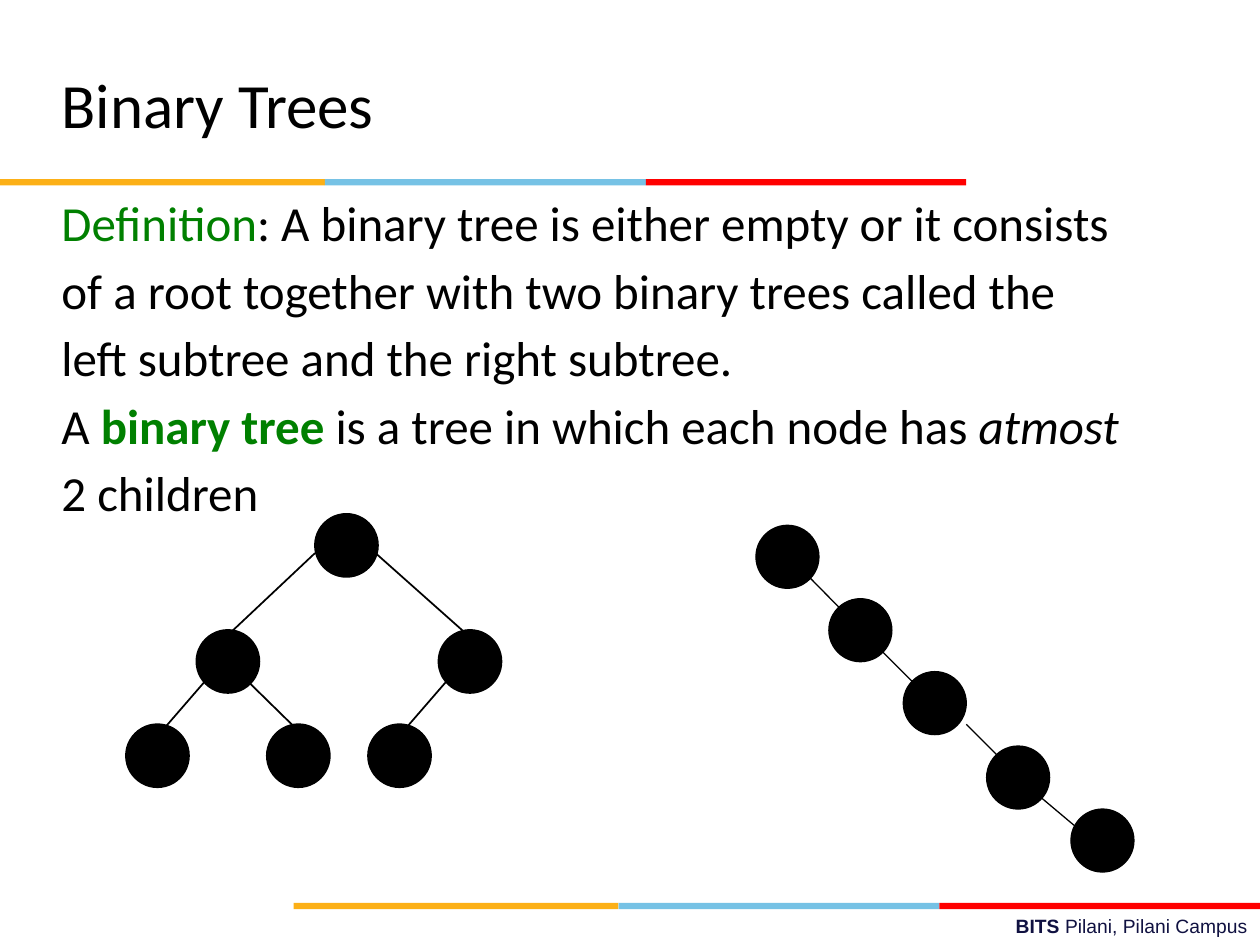
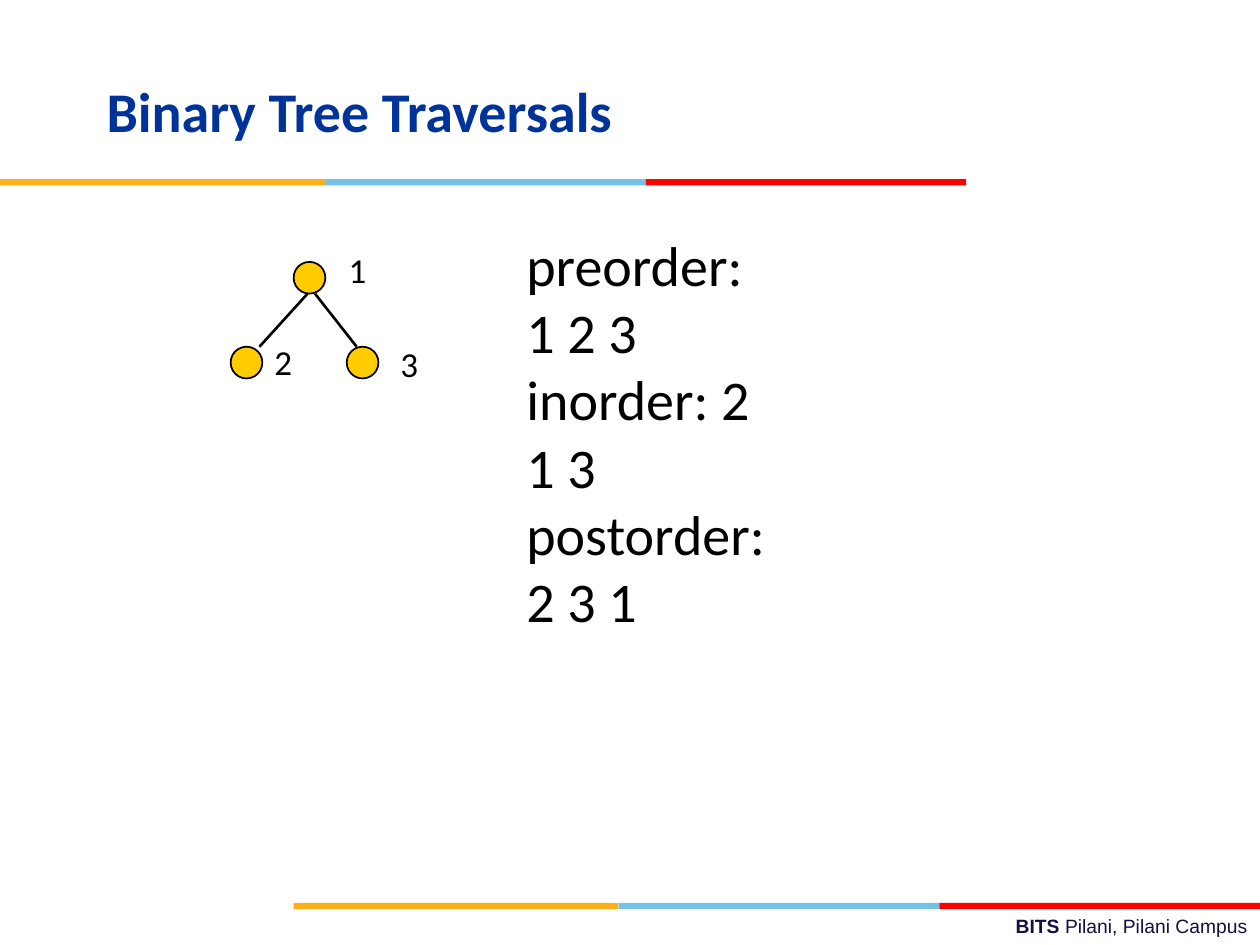
from dataclasses import dataclass
from itertools import accumulate

from lxml.etree import SubElement
from pptx import Presentation
from pptx.dml.color import RGBColor
from pptx.enum.shapes import MSO_CONNECTOR, MSO_SHAPE
from pptx.enum.text import MSO_ANCHOR, PP_ALIGN
from pptx.oxml.ns import qn
from pptx.slide import Slide
from pptx.util import Cm, Pt

COLORS = {
    "orange": "FCB017",
    "blue": "76C2E5",
    "red": "FF0000",
    "footer": "101141",
    "black": "000000",
    "green": "008000",
    "title blue": "003399",
    "yellow": "FFCC00",
}
BAND_SEGMENTS = [("orange", 6.55), ("blue", 6.47), ("red", 6.46)]
BAND_HEIGHT = 0.13
BAND_CORNERS = [(5.92, 18.2), (0, 3.61)]

Point = tuple[float, float]


@dataclass
class Span:
    text: str
    color: str = "black"
    bold: bool = False
    italic: bool = False


@dataclass
class TextBlock:
    """A text box; lengths in centimetres, sizes in points."""
    left: float
    top: float
    width: float
    height: float
    paragraphs: list[list[Span]]
    size: float
    font: str = "Calibri"
    align: PP_ALIGN = PP_ALIGN.LEFT
    anchor: MSO_ANCHOR = MSO_ANCHOR.TOP
    space_before: float = 0


@dataclass
class Tree:
    """Nodes by top left corner, edges by end points, in centimetres."""
    diameter: float
    fill: str
    outline: float
    edge_width: float
    nodes: list[Point]
    edges: list[tuple[Point, Point]]


def color(name: str) -> RGBColor:
    return RGBColor.from_string(COLORS[name])


def draw_text(page: Slide, block: TextBlock) -> None:
    box = page.shapes.add_textbox(
        Cm(block.left), Cm(block.top), Cm(block.width), Cm(block.height))
    frame = box.text_frame
    frame.word_wrap = True
    frame.vertical_anchor = block.anchor
    for index, spans in enumerate(block.paragraphs):
        para = frame.add_paragraph() if index else frame.paragraphs[0]
        para.alignment = block.align
        para.space_before = Pt(block.space_before if index else 0)
        for span in spans:
            run = para.add_run()
            run.text = span.text
            run.font.name = block.font
            run.font.size = Pt(block.size)
            run.font.bold = span.bold
            run.font.italic = span.italic
            run.font.color.rgb = color(span.color)


def draw_band(page: Slide, left: float, top: float) -> None:
    widths = [width for _, width in BAND_SEGMENTS]
    starts = accumulate(widths[:-1], initial=left)
    for (name, width), start in zip(BAND_SEGMENTS, starts):
        bar = page.shapes.add_shape(
            MSO_SHAPE.RECTANGLE, Cm(start), Cm(top), Cm(width), Cm(BAND_HEIGHT))
        bar.shadow.inherit = False
        bar.fill.solid()
        bar.fill.fore_color.rgb = color(name)
        bar.line.fill.background()


def draw_tree(page: Slide, tree: Tree) -> None:
    for start, end in tree.edges:
        edge = page.shapes.add_connector(
            MSO_CONNECTOR.STRAIGHT, *map(Cm, start), *map(Cm, end))
        edge.line.color.rgb = color("black")
        edge.line.width = Pt(tree.edge_width)
        SubElement(edge._element.spPr, qn("a:effectLst"))
    for left, top in tree.nodes:
        node = page.shapes.add_shape(
            MSO_SHAPE.OVAL, Cm(left), Cm(top), Cm(tree.diameter), Cm(tree.diameter))
        node.shadow.inherit = False
        node.fill.solid()
        node.fill.fore_color.rgb = color(tree.fill)
        node.line.color.rgb = color("black")
        node.line.width = Pt(tree.outline)


FOOTER = TextBlock(
    9.09, 18.31, 16.31, 0.74,
    [[Span("BITS ", "footer", bold=True), Span("Pilani, Pilani Campus", "footer")]],
    size=11, font="Arial", align=PP_ALIGN.RIGHT)

# Definition slide
DEFINITION_TITLE = TextBlock(
    0.99, 0.79, 21.59, 2.59, [[Span("Binary Trees")]],
    size=36, anchor=MSO_ANCHOR.MIDDLE)
DEFINITION = TextBlock(
    0.99, 3.76, 22.02, 13.69,
    [
        [Span("Definition", "green"),
         Span(": A binary tree is either empty or it consists")],
        [Span("of a root together with two binary trees called the")],
        [Span("left subtree and the right subtree.")],
        [Span("A "), Span("binary tree", "green", bold=True),
         Span(" is a tree in which each node has "), Span("atmost", italic=True)],
        [Span("2 children")],
    ],
    size=28, space_before=5)
BRANCHING_TREE = Tree(
    1.27, "black", outline=1, edge_width=1,
    nodes=[(6.35, 10.36), (3.96, 12.7), (8.84, 12.7),
           (2.54, 14.6), (5.38, 14.6), (7.42, 14.6)],
    edges=[((6.35, 11.15), (4.65, 12.75)), ((7.57, 11.15), (9.37, 12.75)),
           ((4.17, 13.69), (3.33, 14.66)), ((4.95, 13.69), (5.94, 14.66)),
           ((9.04, 13.69), (8.2, 14.66))])
RIGHT_CHAIN = Tree(
    1.27, "black", outline=0.75, edge_width=0.75,
    nodes=[(15.24, 10.59), (16.71, 12.07), (18.21, 13.54),
           (19.89, 15.04), (21.59, 16.31)],
    edges=[((16.31, 11.63), (16.94, 12.27)), ((17.78, 13.13), (18.42, 13.77)),
           ((19.48, 14.6), (20.12, 15.24)), ((20.68, 15.82), (22.07, 16.99))])

# Traversal slide
TRAVERSAL_TITLE = TextBlock(
    1.9, 0.64, 21.59, 3.18,
    [[Span("Binary Tree Traversals", "title blue", bold=True)]],
    size=32, anchor=MSO_ANCHOR.MIDDLE)
TRAVERSALS = TextBlock(
    10.36, 4.52, 5.54, 8.5,
    [[Span("preorder: 1 2 3")], [Span("inorder: 2 1 3")], [Span("postorder: 2 3 1")]],
    size=32)
NUMBERED_TREE = Tree(
    0.64, "yellow", outline=1, edge_width=1.5,
    nodes=[(5.92, 5.28), (4.65, 6.99), (6.99, 6.99)],
    edges=[((6.2, 5.92), (5.23, 6.99)), ((6.35, 5.92), (7.19, 6.99))])
NODE_LABELS = [
    TextBlock(left, top, 0.9, 1.1, [[Span(number)]], size=20)
    for number, left, top in [("1", 6.78, 4.88), ("2", 5.28, 6.73), ("3", 7.82, 6.78)]]

PAGES = [
    ([DEFINITION_TITLE, DEFINITION], [BRANCHING_TREE, RIGHT_CHAIN]),
    ([TRAVERSAL_TITLE, TRAVERSALS, *NODE_LABELS], [NUMBERED_TREE]),
]


def main() -> None:
    deck = Presentation()
    deck.slide_width, deck.slide_height = Cm(25.4), Cm(19.05)
    for blocks, trees in PAGES:
        page = deck.slides.add_slide(deck.slide_layouts[6])
        for left, top in BAND_CORNERS:
            draw_band(page, left, top)
        for block in [FOOTER, *blocks]:
            draw_text(page, block)
        for tree in trees:
            draw_tree(page, tree)
    deck.save("out.pptx")


if __name__ == "__main__":
    main()
